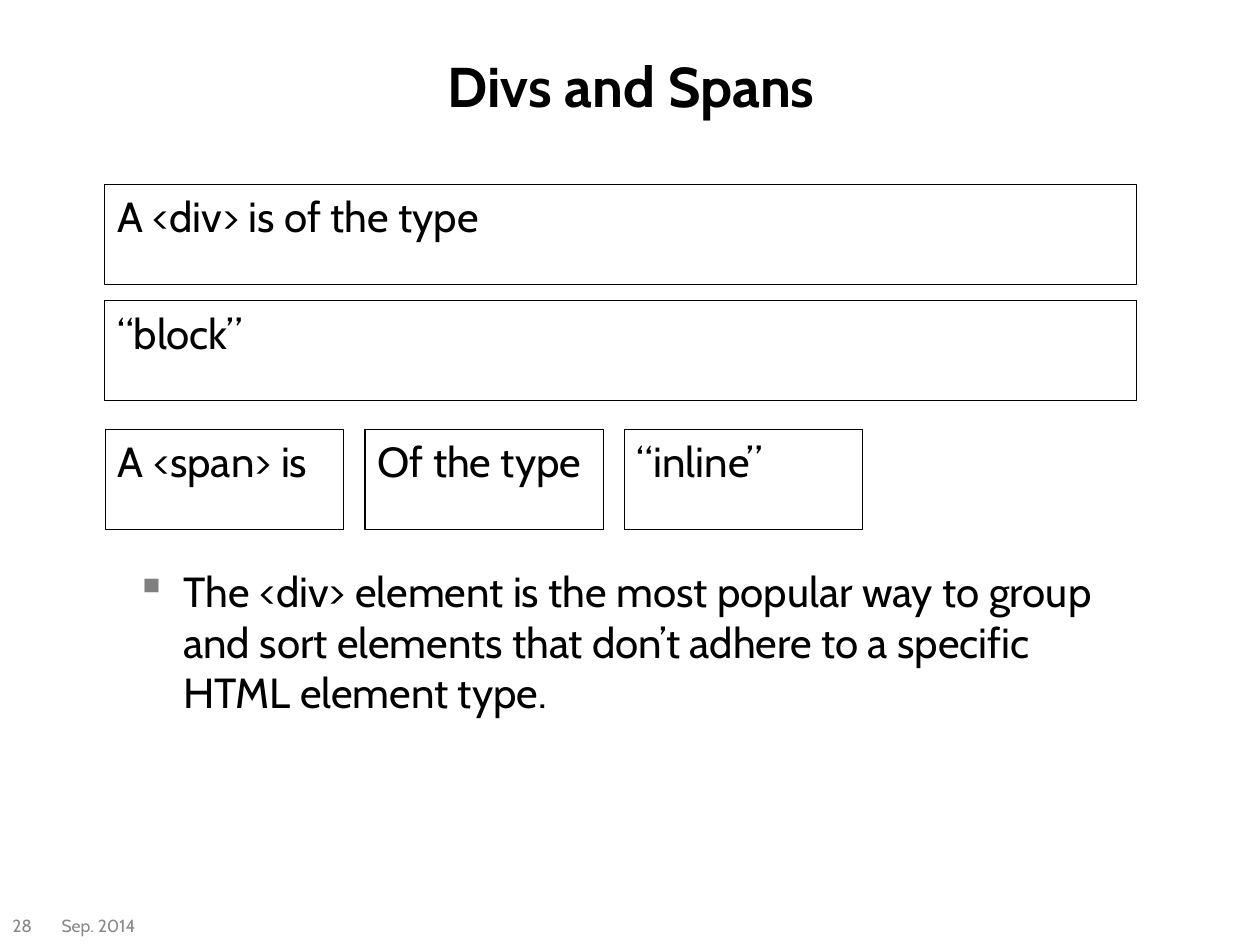
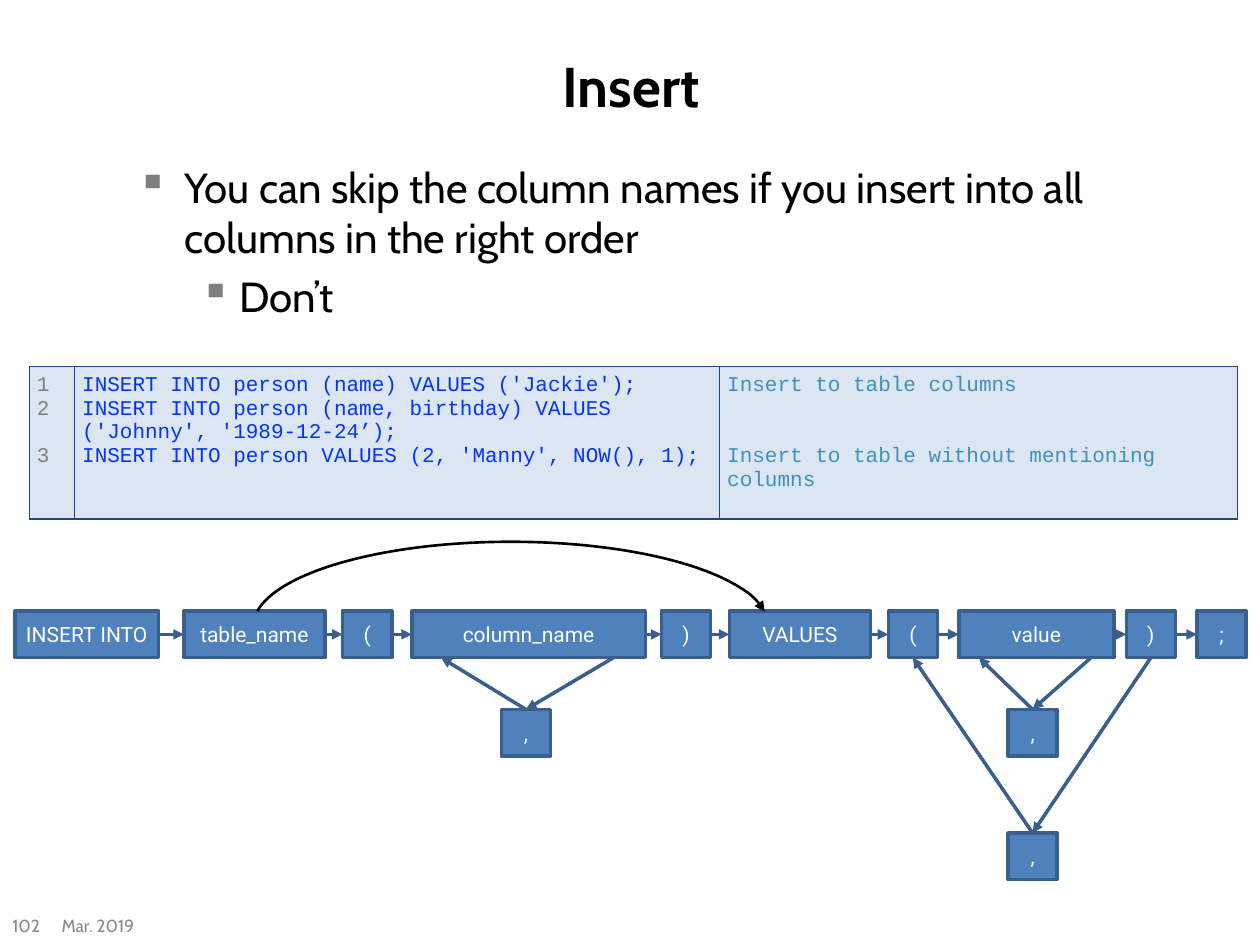
from dataclasses import dataclass
from typing import NamedTuple

from lxml import etree
from pptx import Presentation
from pptx.dml.color import RGBColor
from pptx.enum.shapes import MSO_CONNECTOR, MSO_SHAPE
from pptx.enum.text import MSO_ANCHOR, PP_ALIGN
from pptx.oxml.ns import qn
from pptx.util import Pt

LEFT, CENTER = PP_ALIGN.LEFT, PP_ALIGN.CENTER
TOP, MIDDLE = MSO_ANCHOR.TOP, MSO_ANCHOR.MIDDLE
RECTANGLE, ARC = MSO_SHAPE.RECTANGLE, MSO_SHAPE.ARC
STRAIGHT = MSO_CONNECTOR.STRAIGHT
SITE_TOP, SITE_LEFT, SITE_BOTTOM, SITE_RIGHT = range(4)
TITLE_ONLY = 5


class Box(NamedTuple):
    """A rectangle in points."""

    left: float
    top: float
    width: float
    height: float

    def lengths(self):
        """Return the four values as slide lengths."""
        return [Pt(value) for value in self]


@dataclass(frozen=True)
class Theme:
    """Colours, fonts and type sizes shared by the slides."""

    ink: str = "000000"
    white: str = "FFFFFF"
    footer: str = "898989"
    bullet: str = "7F7F7F"
    token_fill: str = "4F81BD"
    token_line: str = "3A5F8C"
    table_fill: str = "DCE6F2"
    table_line: str = "1F497D"
    line_number: str = "808080"
    code: str = "0433FF"
    remark: str = "4090B9"
    text_font: str = "Cabin"
    token_font: str = "Roboto"
    code_font: str = "Courier New"
    title_size: float = 32
    body_size: float = 24
    small_size: float = 12
    footer_size: float = 10
    body_gap: float = 4.8
    code_line: float = 13.6


THEME = Theme()
TITLE_BOX = Box(36.7, 3.6, 648, 90)
NUMBER_BOX = Box(0, 517.7, 33.8, 22.3)
DATE_BOX = Box(28.1, 517.7, 67.7, 22.3)


def style_text(frame, size, color, font=THEME.text_font, align=LEFT, bold=False):
    """Format every paragraph and run of a text frame."""
    for para in frame.paragraphs:
        para.alignment = align
        for span in para.runs:
            span.font.size = Pt(size)
            span.font.name = font
            span.font.bold = bold
            span.font.color.rgb = RGBColor.from_string(color)


def set_margins(holder, margin):
    """Give a text frame or cell the same margin on all sides."""
    holder.margin_left = holder.margin_right = Pt(margin)
    holder.margin_top = holder.margin_bottom = Pt(margin)


def add_text(page, box, text, size, color, anchor=TOP):
    """Add a wrapping text box and return its frame."""
    frame = page.shapes.add_textbox(*box.lengths()).text_frame
    frame.word_wrap = True
    frame.vertical_anchor = anchor
    frame.text = text
    style_text(frame, size, color)
    return frame


def set_line(line, color, width):
    """Set the colour and width of a line."""
    line.color.rgb = RGBColor.from_string(color)
    line.width = Pt(width)


def add_arrowhead(shape):
    """Put a triangle at the end of a shape's line."""
    outline = shape.element.spPr.find(qn("a:ln"))
    etree.SubElement(outline, qn("a:tailEnd"), type="triangle")


def add_bordered_text(page, box, text):
    """Add a thinly outlined rectangle with body text."""
    shape = page.shapes.add_shape(RECTANGLE, *box.lengths())
    shape.shadow.inherit = False
    shape.fill.background()
    set_line(shape.line, THEME.ink, 0.75)
    frame = shape.text_frame
    frame.word_wrap = True
    frame.vertical_anchor = TOP
    frame.text = text
    frame.paragraphs[0].space_before = Pt(THEME.body_gap)
    style_text(frame, THEME.body_size, THEME.ink)


def add_bullets(page, box, items):
    """Add bulleted text from (level, text) items."""
    frame = add_text(page, box, "\n".join(text for _, text in items),
                     THEME.body_size, THEME.ink)
    for para, (level, _) in zip(frame.paragraphs, items):
        margin, hanging = ((27, 27), (58.5, 22.5))[level]
        para.level = level
        para.space_before = Pt(THEME.body_gap)
        properties = para._p.get_or_add_pPr()
        properties.set("marL", str(Pt(margin)))
        properties.set("indent", str(-Pt(hanging)))
        color = etree.SubElement(properties, qn("a:buClr"))
        etree.SubElement(color, qn("a:srgbClr"), val=THEME.bullet)
        etree.SubElement(properties, qn("a:buChar"), char="▪")


def add_page(deck, title, number, date):
    """Add a slide with its title, number and date."""
    page = deck.slides.add_slide(deck.slide_layouts[TITLE_ONLY])
    heading = page.shapes.title
    heading.left, heading.top, heading.width, heading.height = TITLE_BOX.lengths()
    heading.text_frame.text = title
    heading.text_frame.vertical_anchor = MIDDLE
    style_text(heading.text_frame, THEME.title_size, THEME.ink, align=CENTER, bold=True)
    for box, text in ((DATE_BOX, date), (NUMBER_BOX, number)):
        add_text(page, box, text, THEME.footer_size, THEME.footer, MIDDLE)
    return page


def add_block_rows(page, box, texts, pitch):
    """Stack full-width outlined rows from the given first box."""
    for index, text in enumerate(texts):
        add_bordered_text(page, box._replace(top=box.top + index * pitch), text)


def add_inline_cells(page, box, texts, pitch):
    """Set outlined cells side by side from the given first box."""
    for index, text in enumerate(texts):
        add_bordered_text(page, box._replace(left=box.left + index * pitch), text)


def add_cell_border(cell):
    """Draw all four borders of a table cell."""
    properties = cell._tc.get_or_add_tcPr()
    for index, side in enumerate(("lnL", "lnR", "lnT", "lnB")):
        border = etree.Element(qn(f"a:{side}"), w=str(Pt(1)))
        fill = etree.SubElement(border, qn("a:solidFill"))
        etree.SubElement(fill, qn("a:srgbClr"), val=THEME.table_line)
        properties.insert(index, border)


def add_code_table(page, box, columns):
    """Add a one-row code table from (width, colour, lines, skipped lines) columns."""
    table = page.shapes.add_table(1, len(columns), *box.lengths()).table
    table.first_row = table.horz_banding = False
    for index, (width, color, lines, skipped) in enumerate(columns):
        table.columns[index].width = Pt(width)
        cell = table.cell(0, index)
        cell.fill.solid()
        cell.fill.fore_color.rgb = RGBColor.from_string(THEME.table_fill)
        set_margins(cell, 4.3)
        add_cell_border(cell)
        cell.text_frame.text = "\n".join(lines)
        style_text(cell.text_frame, THEME.small_size, color, THEME.code_font)
        if skipped:
            last = cell.text_frame.paragraphs[-1]
            last.space_before = Pt(skipped * THEME.code_line)


def add_token(page, box, text):
    """Add a filled syntax token."""
    token = page.shapes.add_shape(RECTANGLE, *box.lengths())
    token.shadow.inherit = False
    token.fill.solid()
    token.fill.fore_color.rgb = RGBColor.from_string(THEME.token_fill)
    set_line(token.line, THEME.token_line, 2)
    frame = token.text_frame
    frame.word_wrap = True
    frame.vertical_anchor = MIDDLE
    set_margins(frame, 4.3)
    frame.text = text
    style_text(frame, THEME.small_size, THEME.white, THEME.token_font, CENTER)
    return token


def add_arrow(page, start, end):
    """Connect two ends, each a (shape, site) pair or a Box corner."""
    arrow = page.shapes.add_connector(STRAIGHT, 0, 0, 0, 0)
    if isinstance(start, Box):
        arrow.begin_x, arrow.begin_y = start.lengths()[:2]
    else:
        arrow.begin_connect(*start)
    if isinstance(end, Box):
        arrow.end_x, arrow.end_y = end.lengths()[:2]
    else:
        arrow.end_connect(*end)
    set_line(arrow.line, THEME.token_line, 2)
    add_arrowhead(arrow)
    etree.SubElement(arrow.element.spPr, qn("a:effectLst"))


def add_loop(page, box, start, end):
    """Add a comma token that the flow passes on its way back."""
    comma = add_token(page, box, ",")
    add_arrow(page, start, (comma, SITE_TOP))
    add_arrow(page, (comma, SITE_TOP), end)


def add_skip_arc(page, box):
    """Add the curved arrow that skips the column list."""
    arc = page.shapes.add_shape(ARC, *box.lengths())
    arc.shadow.inherit = False
    arc.fill.background()
    for index, degrees in enumerate((183.41, 356.74)):
        arc.adjustments[index] = degrees * 0.6
    set_line(arc.line, THEME.ink, 1.5)
    add_arrowhead(arc)


def add_syntax_diagram(page, box):
    """Draw the INSERT syntax as a row of tokens with loops below."""
    row, small = 26.6, 28.1
    steps = (("INSERT INTO", 0, 82.1), ("table_name", 96.5, 80.6), ("(", 187.2, small),
             ("column_name", 226.8, 133.4), (")", 369.4, small), ("VALUES", 408.2, 80.6),
             ("(", 499, small), ("value", 539.3, 88.6), (")", 635, small),
             (";", 675.4, small))
    tokens = [add_token(page, Box(box.left + left, box.top, width, row), text)
              for text, left, width in steps]
    for before, after in zip(tokens, tokens[1:]):
        add_arrow(page, (before, SITE_RIGHT), (after, SITE_LEFT))
    bottom = box.top + row
    for comma_left, start, end in ((277.9, 342, 243.4), (567.4, 614.9, 550.8)):
        add_loop(page, Box(box.left + comma_left, box.top + 56.2, small, row),
                 Box(box.left + start, bottom, 0, 0), Box(box.left + end, bottom, 0, 0))
    add_loop(page, Box(box.left + 567.4, box.top + box.height - row, small, row),
             (tokens[8], SITE_BOTTOM), (tokens[6], SITE_BOTTOM))
    add_skip_arc(page, Box(box.left + 136.1, box.top - 39.6, 294.5, 96.5))


def build_divs_page(deck):
    """Build the slide on block and inline elements."""
    page = add_page(deck, "Divs and Spans", "28", "Sep. 2014")
    add_block_rows(page, Box(59.8, 105.5, 589.7, 56.9),
                   ("A <div> is of the type", "“block”"), 66.4)
    add_inline_cells(page, Box(60.3, 245.5, 136.1, 56.9),
                     ("A <span> is", "Of the type", "“inline”"), 148.3)
    add_bullets(page, Box(70.6, 319.7, 567.4, 160.6), (
        (0, "The <div> element is the most popular way to group and sort elements "
            "that don’t adhere to a specific HTML element type."),))


def build_insert_page(deck):
    """Build the slide on the INSERT statement."""
    page = add_page(deck, "Insert", "102", "Mar. 2019")
    add_bullets(page, Box(71.3, 88.6, 583.9, 121), (
        (0, "You can skip the column names if you insert into all columns in the right order"),
        (1, "Don’t")))
    add_code_table(page, Box(16.8, 209.5, 690.5, 87.1), (
        (25.9, THEME.line_number, ("1", "2", "3"), 1),
        (368.6, THEME.code, (
            "INSERT INTO person (name) VALUES ('Jackie');",
            "INSERT INTO person (name, birthday) VALUES ('Johnny', '1989-12-24’);",
            "INSERT INTO person VALUES (2, 'Manny', NOW(), 1);"), 0),
        (296, THEME.remark, ("Insert to table columns",
                             "Insert to table without mentioning columns"), 2)))
    add_syntax_diagram(page, Box(8.6, 349.2, 703.5, 153.4))


def main():
    """Build and save the deck."""
    deck = Presentation()
    deck.slide_width, deck.slide_height = Pt(720), Pt(540)
    build_divs_page(deck)
    build_insert_page(deck)
    deck.save("out.pptx")


if __name__ == "__main__":
    main()
